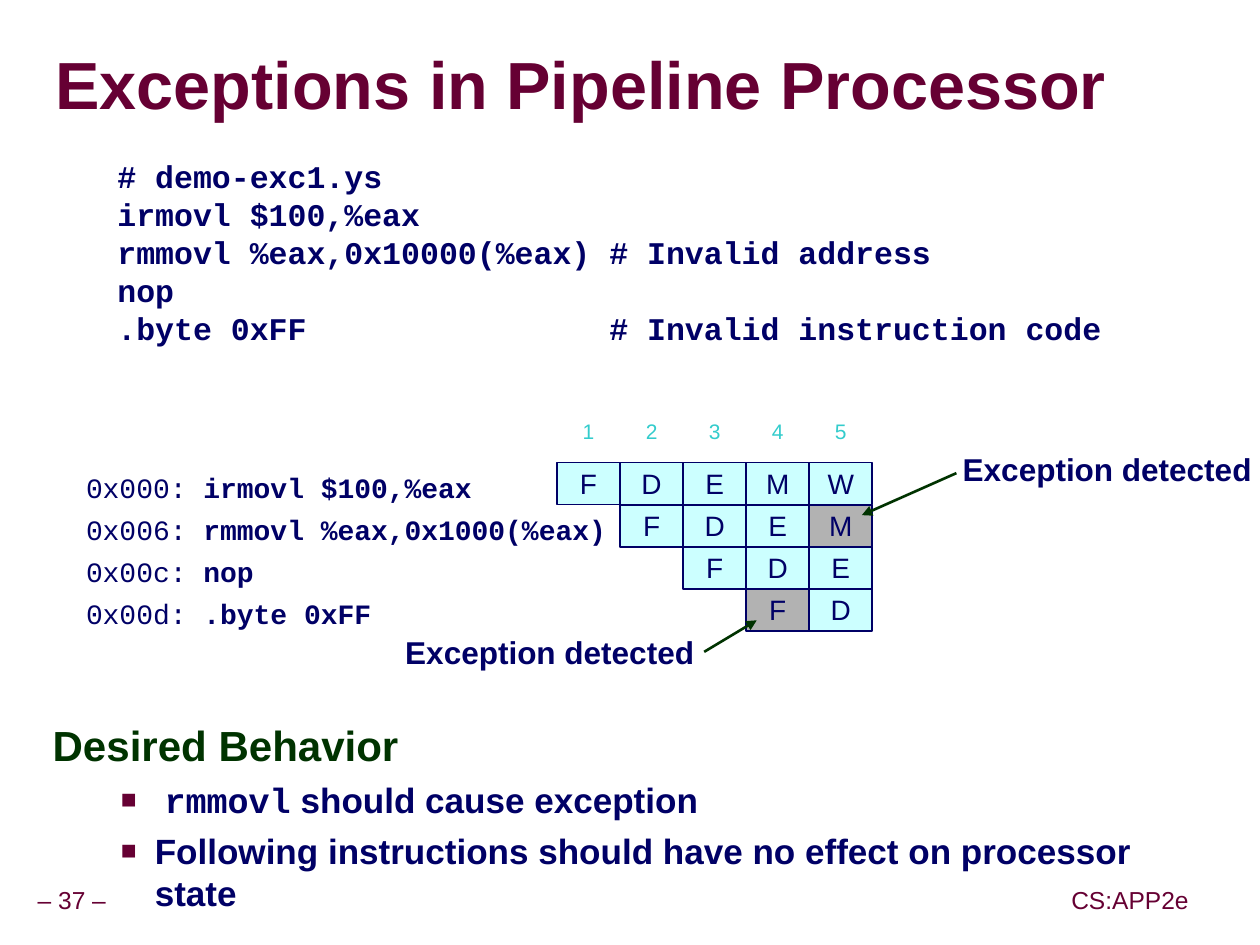
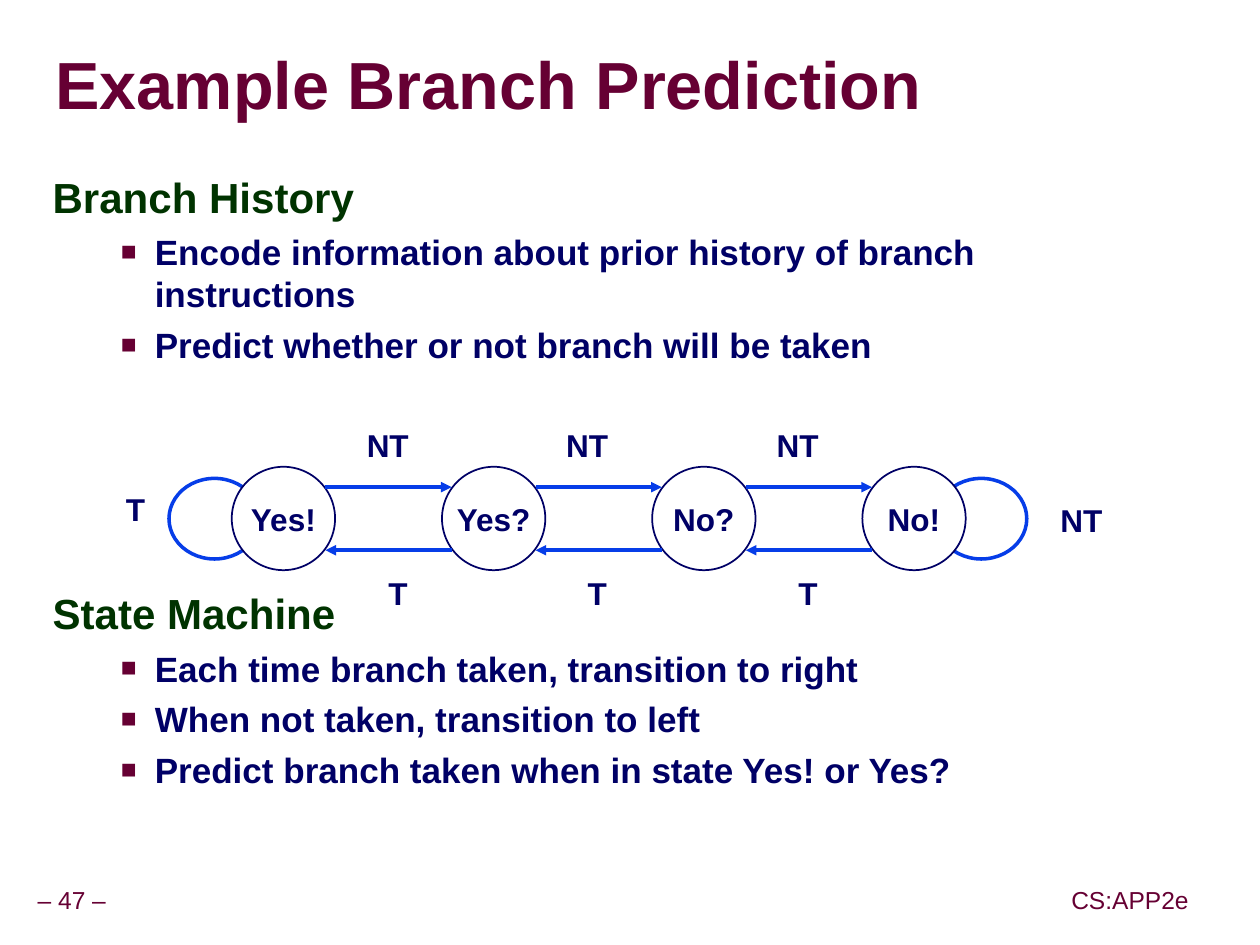
from lxml.etree import SubElement
from pptx import Presentation
from pptx.dml.color import RGBColor
from pptx.enum.shapes import MSO_CONNECTOR as CONN, MSO_SHAPE as SHAPE
from pptx.enum.text import MSO_ANCHOR as ANCHOR, MSO_AUTO_SIZE as AUTO, PP_ALIGN as ALIGN
from pptx.oxml.ns import qn
from pptx.util import Pt

COLORS = {
    "maroon": "660033", "navy": "000066", "green": "003300", "blue": "063DE8",
    "teal": "33CCCC", "cyan": "CCFFFF", "gray": "B2B2B2", "white": "FFFFFF",
    "shadow": "969696",
}
SANS, MONO = "Arial", "Courier New"
LEFT, CENTER, RIGHT = ALIGN.LEFT, ALIGN.CENTER, ALIGN.RIGHT
TOP, MIDDLE = ANCHOR.TOP, ANCHOR.MIDDLE


def rgb(name):
    return RGBColor.from_string(COLORS[name])


def add(parent, tag, **attrs):
    return SubElement(parent, qn(tag), {k: str(v) for k, v in attrs.items()})


class Deck:
    def __init__(self):
        self.prs = Presentation()
        self.prs.slide_width, self.prs.slide_height = Pt(719.28), Pt(539.28)
        self.s = None

    def slide(self, title, number):
        self.s = self.prs.slides.add_slide(self.prs.slide_layouts[5])
        sp = self.s.shapes.title
        sp.left, sp.top, sp.width, sp.height = Pt(31.7), Pt(19.4), Pt(685.4), Pt(61.2)
        self.frame(sp.text_frame, MIDDLE, (0, 0, 0, 0))
        p = sp.text_frame.paragraphs[0]
        self.para(p, title, 38, "maroon", bold=True, spacing=0.87)
        effects = add(p.runs[0].font.fill._xPr, "a:effectLst")
        shadow = add(effects, "a:outerShdw", dist=35921, dir=2700000, algn="ctr")
        add(shadow, "a:srgbClr", val=COLORS["shadow"])
        rpr = effects.getparent()
        rpr.find(qn("a:solidFill")).addnext(effects)
        self.footer(f"– {number} –", 17.3, 47.5)
        self.footer("CS:APP2e", 607.7, 74.9)

    def frame(self, tf, anchor=TOP, inset=(7.2, 3.6, 7.2, 3.6), wrap=True):
        tf.auto_size, tf.word_wrap, tf.vertical_anchor = AUTO.NONE, wrap, anchor
        tf.margin_left, tf.margin_top, tf.margin_right, tf.margin_bottom = map(Pt, inset)

    def para(self, p, text, size, color, font=SANS, bold=False, align=LEFT, spacing=1):
        p.text = text
        p.alignment = align
        p.line_spacing = Pt(round(size * 1.2 * spacing, 1))
        p.space_before = Pt(0)
        for r in p.runs:
            self.style(r, size, color, font, bold)

    def style(self, r, size, color, font=SANS, bold=False):
        f = r.font
        f.size, f.bold, f.name = Pt(size), bold, font
        f.color.rgb = rgb(color)

    def box(self, x, y, w, h, **frame):
        tf = self.s.shapes.add_textbox(Pt(x), Pt(y), Pt(w), Pt(h)).text_frame
        self.frame(tf, **frame)
        return tf

    def footer(self, text, x, w):
        tf = self.box(x, 503, w, 22.3, anchor=MIDDLE, inset=(3.6,) * 4, wrap=False)
        self.para(tf.paragraphs[0], text, 14, "maroon", align=CENTER, spacing=0.9)

    def label(self, text, x, y, w, h=28.8, pad=7.2, align=LEFT, spacing=1):
        tf = self.box(x, y, w, h, inset=(pad, 3.6, pad, 3.6), wrap=False)
        self.para(tf.paragraphs[0], text, 18, "navy", bold=True, align=align, spacing=spacing)

    def section(self, y, h, heading, bullets):
        tf = self.box(23, y, 653, h)
        self.para(tf.paragraphs[0], heading, 24, "green", bold=True, spacing=0.95)
        for text in bullets:
            p = tf.add_paragraph()
            self.para(p, text, 20, "navy", bold=True)
            p.space_before = Pt(5)
            ppr = p._p.get_or_add_pPr()
            ppr.set("marL", str(Pt(58.3)))
            ppr.set("indent", str(Pt(-19.4)))
            add(add(ppr, "a:buClr"), "a:srgbClr", val=COLORS["maroon"])
            add(ppr, "a:buSzPct", val=75000)
            add(ppr, "a:buFont", typeface=SANS)
            add(ppr, "a:buChar", char="■")
        return tf

    def code(self, x, y, w, h, lines, tab):
        tf = self.box(x, y, w, h, inset=(25.2, 5.6, 3.6, 3.6))
        tf.text = "\n".join(lines)
        for p, line in zip(tf.paragraphs, lines):
            self.para(p, line, 18, "navy", MONO, True)
            tabs = add(p._p.get_or_add_pPr(), "a:tabLst")
            add(tabs, "a:tab", pos=Pt(tab), algn="l")

    def instruction(self, x, y, address, text):
        tf = self.box(x, y, 312, 24, anchor=MIDDLE, inset=(7.2, 4, 0, 0))
        p = tf.paragraphs[0]
        self.para(p, f"{address}: ", 16, "navy", MONO)
        r = p.add_run()
        r.text = text
        self.style(r, 16, "navy", MONO, True)

    def shape(self, kind, x, y, w, h, fill=None, line=None, width=1, text="",
              size=16, color="navy", bold=False):
        sp = self.s.shapes.add_shape(kind, Pt(x), Pt(y), Pt(w), Pt(h))
        sp.shadow.inherit = False
        if fill:
            sp.fill.solid()
            sp.fill.fore_color.rgb = rgb(fill)
        else:
            sp.fill.background()
        if line:
            sp.line.color.rgb = rgb(line)
            sp.line.width = Pt(width)
        else:
            sp.line.fill.background()
        if text:
            self.frame(sp.text_frame, MIDDLE, (0, 0, 0, 0), False)
            self.para(sp.text_frame.paragraphs[0], text, size, color, bold=bold, align=CENTER)

    def arrow(self, x1, y1, x2, y2, color, width):
        c = self.s.shapes.add_connector(CONN.STRAIGHT, Pt(x1), Pt(y1), Pt(x2), Pt(y2))
        c.line.color.rgb = rgb(color)
        c.line.width = Pt(width)
        add(c.line._get_or_add_ln(), "a:tailEnd", type="triangle")
        add(c._element.spPr, "a:effectLst")


def exceptions(d):
    d.slide("Exceptions in Pipeline Processor", 37)
    tf = d.section(408.2, 120, "Desired Behavior", [
        " ", "Following instructions should have no effect on processor state"])
    for text, font in (("rmmovl", MONO), (" should cause exception", SANS)):
        r = tf.paragraphs[1].add_run()
        r.text = text
        d.style(r, 20, "navy", font, True)
    d.code(41.8, 84.2, 642.2, 115.2, [
        "# demo-exc1.ys",
        "irmovl $100,%eax",
        "rmmovl %eax,0x10000(%eax)\t# Invalid address",
        "nop",
        ".byte 0xFF\t# Invalid instruction code"], 280.8)

    x0, y0, w, h = 318, 264, 36, 24
    stages, detected = "FDEMW", {(1, 4), (3, 3)}
    for col in range(len(stages)):
        d.shape(SHAPE.RECTANGLE, x0 + col * w, 234, w, h, "white",
                text=str(col + 1), size=12, color="teal")
    program = [("0x000", "irmovl $100,%eax"), ("0x006", "rmmovl %eax,0x1000(%eax)"),
               ("0x00c", "nop"), ("0x00d", ".byte 0xFF")]
    for row, (address, text) in enumerate(program):
        y = y0 + row * h
        d.instruction(42, y, address, text)
        for col in range(row, len(stages)):
            fill = "gray" if (row, col) in detected else "cyan"
            d.shape(SHAPE.RECTANGLE, x0 + col * w, y, w, h, fill, "navy",
                    text=stages[col - row])
    for x, y, align in ((546, 255.6, LEFT), (228, 360, RIGHT)):
        d.label("Exception detected", x, y, 172, 26.6, 3.6, align, 0.9)
    d.arrow(546, 270, 492, 294, "green", 1.5)
    d.arrow(402, 372, 432, 354, "green", 1.5)


def prediction(d):
    d.slide("Example Branch Prediction", 47)
    d.section(95.8, 130, "Branch History", [
        "Encode information about prior history of branch instructions",
        "Predict whether or not branch will be taken"])
    d.section(333.3, 130, "State Machine", [
        "Each time branch taken, transition to right",
        "When not taken, transition to left",
        "Predict branch taken when in state Yes! or Yes?"])
    for x in (96.5, 534.2):
        d.shape(SHAPE.OVAL, x, 273, 52, 46, line="blue", width=2)
    pitch = 120
    for i, state in enumerate(("Yes!", "Yes?", "No?", "No!")):
        d.shape(SHAPE.OVAL, 132.3 + i * pitch, 266.4, 59, 59, "white", "navy",
                text=state, size=18, bold=True)
    for i, x in enumerate((202.3, 316.1, 436.3)):
        left = 185.8 + i * pitch
        d.arrow(left, 278, left + 72, 278, "blue", 2)
        d.arrow(left + 72, 314, left, 314, "blue", 2)
        d.label("NT", x, 239.8, 38.2)
        d.label("T", x + 12.3, 324, 25.2)
    d.label("T", 64.8, 275.8, 25.2)
    d.label("NT", 598.3, 282.2, 38.2)


def main():
    d = Deck()
    exceptions(d)
    prediction(d)
    d.prs.save("out.pptx")


if __name__ == "__main__":
    main()
